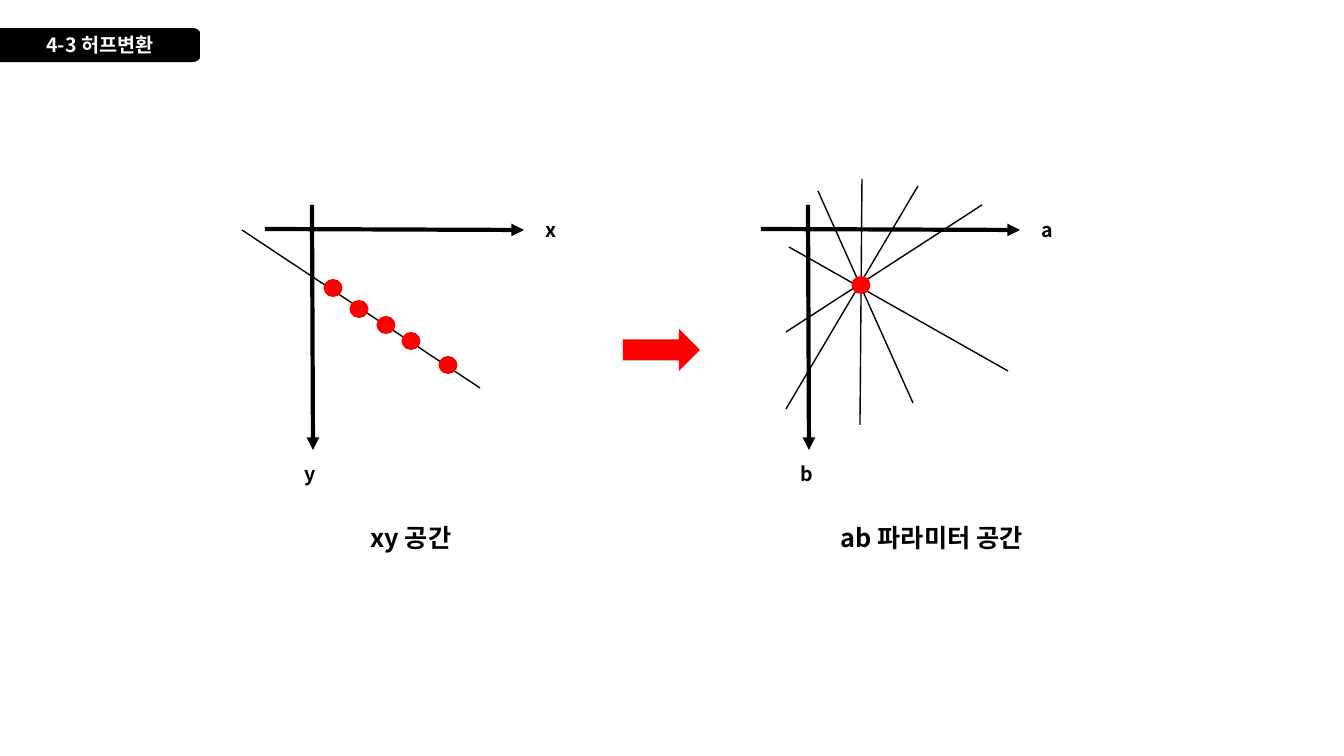
from dataclasses import dataclass
from math import cos, pi, sin

from lxml.etree import SubElement
from pptx import Presentation
from pptx.dml.color import RGBColor
from pptx.enum.shapes import MSO_CONNECTOR, MSO_SHAPE
from pptx.enum.text import MSO_ANCHOR, PP_ALIGN
from pptx.oxml.ns import qn
from pptx.util import Pt

# Content: all lengths in px
TITLE = "4-3 허프변환"
SPACES = [
    {"axes": ("x", "y"), "caption": "xy 공간", "caption_box": (361, 517, 155, 40)},
    {"axes": ("a", "b"), "caption": "ab 파라미터 공간", "caption_box": (831, 517, 238, 40)},
]
IMAGE_LINE = (242, 230, 480, 388)
PARAMETER_LINES = [
    (789, 247, 1008, 371),
    (818, 191, 913, 403),
    (862, 179, 860, 425),
    (786, 332, 982, 205),
    (918, 186, 786, 409),
]
POINTS = [(333, 288), (359, 309), (386, 325), (411, 341), (448, 365), (861, 285)]
POINT_SIZE = (19, 18)
TRANSFORM_ARROW = (623, 329, 77, 42)

# Layout of the first space; the second one is shifted right
SPACE_SHIFT = 496
HORIZONTAL_AXIS = (265, 229, 524, 230)
VERTICAL_AXIS = (312, 205, 313, 450)
AXIS_LABEL_BOXES = [(536, 213, 86, 34), (295, 457, 86, 34)]
TAB_TOP, TAB_WIDTH, TAB_HEIGHT = 28, 200, 34
TAB_CORNER = (8, 5)
CORNER_STEPS = 8

PX = 914400 / 100.8


@dataclass(frozen=True)
class Theme:
    font: str = "Noto Sans CJK KR"
    ink: RGBColor = RGBColor(0, 0, 0)
    paper: RGBColor = RGBColor(255, 255, 255)
    accent: RGBColor = RGBColor(255, 0, 0)
    label_size: int = 14
    caption_size: int = 18
    axis_width: int = 3
    line_width: int = 1


THEME = Theme()


def emu(*lengths):
    return [round(length * PX) for length in lengths]


def write(shape, text, size=THEME.label_size, color=THEME.ink,
          align=PP_ALIGN.LEFT, anchor=MSO_ANCHOR.TOP):
    frame = shape.text_frame
    frame.word_wrap = True
    frame.vertical_anchor = anchor
    paragraph = frame.paragraphs[0]
    paragraph.alignment = align
    run = paragraph.add_run()
    run.text = text
    run.font.size = Pt(size)
    run.font.bold = True
    run.font.color.rgb = color
    run.font.name = THEME.font
    SubElement(run.font._element, qn("a:ea")).set("typeface", THEME.font)


def add_label(slide, text, box, **style):
    write(slide.shapes.add_textbox(*emu(*box)), text, **style)


def paint(shape, color):
    shape.shadow.inherit = False
    shape.fill.solid()
    shape.fill.fore_color.rgb = color
    shape.line.fill.background()


def add_line(slide, ends, width=THEME.line_width, arrow=False):
    connector = slide.shapes.add_connector(MSO_CONNECTOR.STRAIGHT, *emu(*ends))
    connector.line.color.rgb = THEME.ink
    connector.line.width = Pt(width)
    if arrow:
        SubElement(connector.line._get_or_add_ln(), qn("a:tailEnd")).set("type", "triangle")
    SubElement(connector._element.spPr, qn("a:effectLst"))


def add_title_tab(slide):
    """Draw the tab at the left edge, with its two right corners rounded."""
    radius_x, radius_y = TAB_CORNER
    center_x = TAB_WIDTH - radius_x
    bottom = TAB_TOP + TAB_HEIGHT
    outline = []
    for center_y, start in ((TAB_TOP + radius_y, -pi / 2), (bottom - radius_y, 0)):
        for step in range(CORNER_STEPS + 1):
            angle = start + step * pi / 2 / CORNER_STEPS
            outline.append(emu(center_x + radius_x * cos(angle),
                               center_y + radius_y * sin(angle)))
    builder = slide.shapes.build_freeform(*emu(0, TAB_TOP))
    builder.add_line_segments(outline + [emu(0, bottom)], close=True)
    tab = builder.convert_to_shape()
    paint(tab, THEME.ink)
    write(tab, TITLE, color=THEME.paper, align=PP_ALIGN.CENTER, anchor=MSO_ANCHOR.MIDDLE)


def add_space(slide, space, shift):
    """Draw a pair of axes with their labels and the caption below."""
    for left, top, right, bottom in (HORIZONTAL_AXIS, VERTICAL_AXIS):
        add_line(slide, (left + shift, top, right + shift, bottom),
                 width=THEME.axis_width, arrow=True)
    for name, (left, *rest) in zip(space["axes"], AXIS_LABEL_BOXES):
        add_label(slide, name, (left + shift, *rest))
    add_label(slide, space["caption"], space["caption_box"], size=THEME.caption_size)


def main():
    presentation = Presentation()
    presentation.slide_width, presentation.slide_height = emu(1344, 756)
    slide = presentation.slides.add_slide(presentation.slide_layouts[6])

    for ends in [IMAGE_LINE, *PARAMETER_LINES]:
        add_line(slide, ends)
    add_title_tab(slide)
    for index, space in enumerate(SPACES):
        add_space(slide, space, index * SPACE_SHIFT)
    paint(slide.shapes.add_shape(MSO_SHAPE.RIGHT_ARROW, *emu(*TRANSFORM_ARROW)), THEME.accent)
    width, height = POINT_SIZE
    for x, y in POINTS:
        box = emu(x - width / 2, y - height / 2, width, height)
        paint(slide.shapes.add_shape(MSO_SHAPE.OVAL, *box), THEME.accent)

    presentation.save("out.pptx")


if __name__ == "__main__":
    main()
